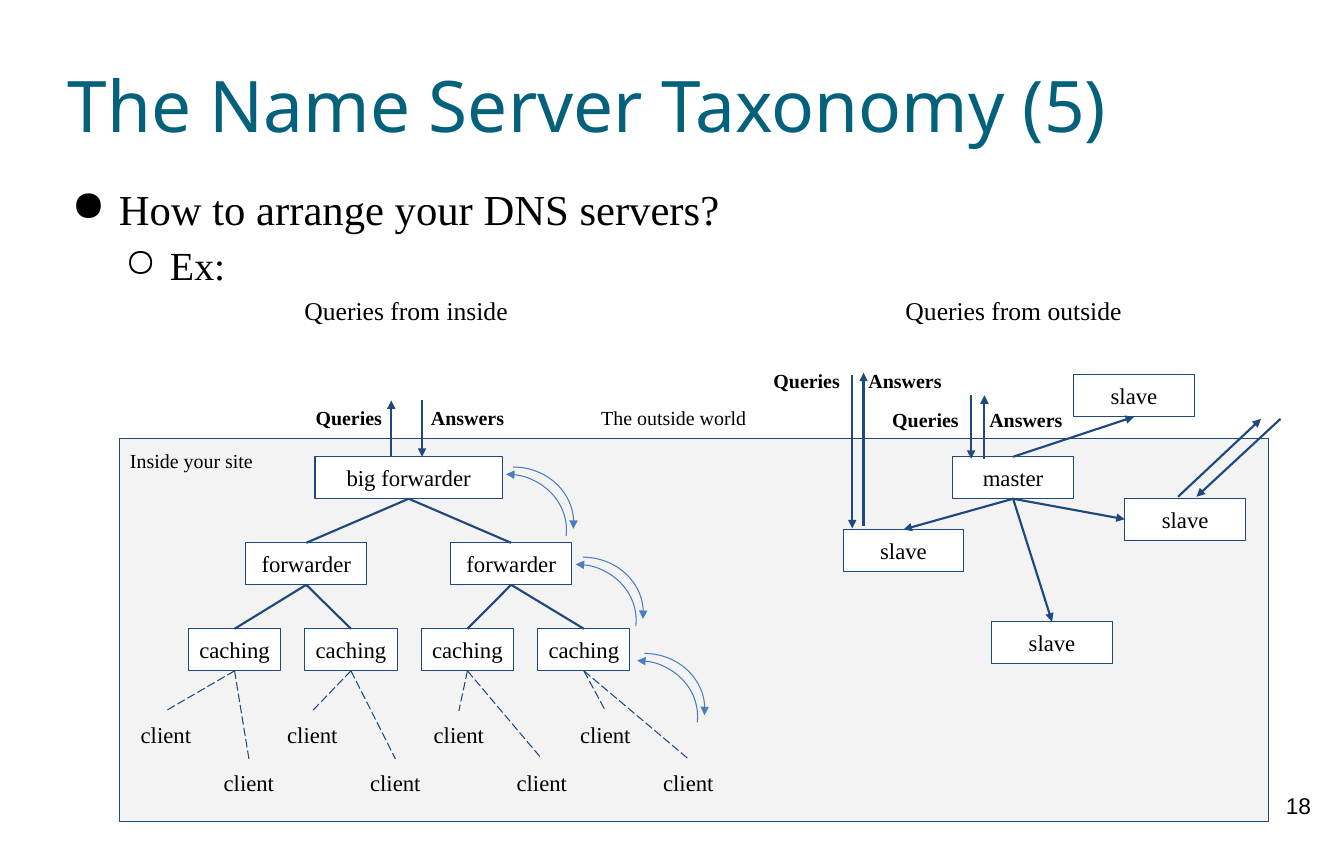
from lxml import etree
from pptx import Presentation
from pptx.dml.color import RGBColor
from pptx.enum.dml import MSO_LINE
from pptx.enum.shapes import MSO_CONNECTOR, MSO_SHAPE
from pptx.enum.text import MSO_ANCHOR, PP_ALIGN
from pptx.oxml.ns import qn
from pptx.util import Inches, Pt

STRAIGHT = MSO_CONNECTOR.STRAIGHT
RECTANGLE, ARC = MSO_SHAPE.RECTANGLE, MSO_SHAPE.ARC
LONG_DASH = MSO_LINE.LONG_DASH
TOP, MIDDLE = MSO_ANCHOR.TOP, MSO_ANCHOR.MIDDLE
LEFT, CENTER = PP_ALIGN.LEFT, PP_ALIGN.CENTER

BLACK = RGBColor(0x00, 0x00, 0x00)
WHITE = RGBColor(0xFF, 0xFF, 0xFF)
SITE_GRAY = RGBColor(0xF3, 0xF3, 0xF3)
NAVY = RGBColor(0x1F, 0x49, 0x7D)
ARC_BLUE = RGBColor(0x4B, 0x7E, 0xBC)
TITLE_TEAL = RGBColor(0x04, 0x61, 0x7B)

SERIF = "Times New Roman"
BOX_HEIGHT = 0.41
SERVER_WIDTH = 1.18
CACHING_WIDTH = 0.9
CACHING_STEP = (5.25 - 1.84) / 3
CLIENT_WIDTH = 0.9
CLIENT_STEP = 1.43


def format_para(para, size, color=BLACK, font=SERIF, bold=False):
    for span in para.runs:
        span.font.size = Pt(size)
        span.font.name = font
        span.font.bold = bold
        span.font.color.rgb = color


def fill_text(shape, text, size, align=CENTER, anchor=TOP, inset=0.1, **style):
    frame = shape.text_frame
    frame.word_wrap = True
    frame.vertical_anchor = anchor
    frame.margin_left = frame.margin_right = Inches(inset)
    frame.margin_top = frame.margin_bottom = Inches(inset)
    frame.text = text
    for para in frame.paragraphs:
        para.alignment = align
        format_para(para, size, **style)


def add_label(page, left, top, width, height, text, size, **style):
    box = page.shapes.add_textbox(Inches(left), Inches(top), Inches(width), Inches(height))
    fill_text(box, text, size, **style)
    return box


def add_box(page, left, top, width, height, text, size=16, fill=WHITE,
            align=CENTER, anchor=MIDDLE):
    box = page.shapes.add_shape(
        RECTANGLE, Inches(left), Inches(top), Inches(width), Inches(height))
    box.shadow.inherit = False
    box.fill.solid()
    box.fill.fore_color.rgb = fill
    box.line.color.rgb = NAVY
    box.line.width = Pt(0.75)
    fill_text(box, text, size, align=align, anchor=anchor)


def add_server(page, center, top, text, width=SERVER_WIDTH):
    """Draw a server box; return the middles of its top and bottom edges."""
    add_box(page, center - width / 2, top, width, BOX_HEIGHT, text)
    return (center, top), (center, top + BOX_HEIGHT)


def add_arrowhead(shape, end):
    """Put a triangle at end, which is headEnd (start) or tailEnd (finish)."""
    etree.SubElement(shape.get_or_add_ln(), qn(f"a:{end}"), type="triangle")


def add_line(page, start, finish, width=1.5, dash=None, arrow=False):
    connector = page.shapes.add_connector(
        STRAIGHT, *(Inches(value) for value in (*start, *finish)))
    line = connector.line
    line.color.rgb = NAVY
    line.width = Pt(width)
    if dash:
        line.dash_style = dash
    if arrow:
        add_arrowhead(connector, "tailEnd")
    etree.SubElement(connector._element.spPr, qn("a:effectLst"))


def add_arc(page, left, top, end):
    arc = page.shapes.add_shape(
        ARC, Inches(left), Inches(top), Inches(1.18), Inches(1.09))
    arc.shadow.inherit = False
    arc.adjustments[0] = 162
    arc.adjustments[1] = 3.43
    arc.fill.background()
    arc.line.color.rgb = ARC_BLUE
    arc.line.width = Pt(0.75)
    add_arrowhead(arc, end)


def add_bullets(page):
    text = "How to arrange your DNS servers?\nEx:"
    box = add_label(page, 0.66, 1.71, 11.84, 1.05, text, 30, align=LEFT, inset=0)
    levels = [("●", 0.5, -0.46, 30), ("○", 1, -0.44, 28)]
    for level, (para, (mark, margin, indent, size)) in enumerate(
            zip(box.text_frame.paragraphs, levels)):
        para.level = level
        para.line_spacing = 1.15
        format_para(para, size)
        properties = para._p.get_or_add_pPr()
        properties.set("marL", str(Inches(margin)))
        properties.set("indent", str(Inches(indent)))
        etree.SubElement(properties, qn("a:buChar"), char=mark)


def add_traffic_labels(page, queries_left, answers_left, top):
    for left, text in ((queries_left, "Queries"), (answers_left, "Answers")):
        add_label(page, left, top, 1.07, 0.44, text, 14, bold=True)


def add_clients(page, index, caching_bottom):
    for first_left, top in ((1.17, 6.94), (1.98, 7.41)):
        left = first_left + index * CLIENT_STEP
        add_label(page, left, top, CLIENT_WIDTH, 0.47, "client", 16)
        add_line(page, caching_bottom, (left + CLIENT_WIDTH / 2, top), 0.75, LONG_DASH)


def add_inside_tree(page):
    add_label(page, 2.73, 2.78, 2.47, 0.5, "Queries from inside", 18)
    root_bottom = add_server(page, 3.99, 4.46, "big forwarder", 1.83)[1]
    for side, center in enumerate((2.99, 4.99)):
        forwarder_top, forwarder_bottom = add_server(page, center, 5.3, "forwarder")
        add_line(page, root_bottom, forwarder_top)
        for index in (2 * side, 2 * side + 1):
            caching_center = 2.29 + index * CACHING_STEP
            caching_top, caching_bottom = add_server(
                page, caching_center, 6.14, "caching", CACHING_WIDTH)
            add_line(page, forwarder_bottom, caching_top)
            add_clients(page, index, caching_bottom)
    add_line(page, (3.82, 4.46), (3.82, 3.91), arrow=True)
    add_line(page, (4.12, 3.91), (4.12, 4.46), arrow=True)
    add_traffic_labels(page, 2.87, 4.03, 3.86)
    for left, top in ((4.42, 4.56), (5.1, 5.44), (5.7, 6.38)):
        add_arc(page, left, top, "tailEnd")
        add_arc(page, left - 0.07, top + 0.07, "headEnd")


def add_outside_servers(page):
    add_label(page, 8.66, 2.78, 2.47, 0.5, "Queries from outside", 18)
    master_top, master_bottom = add_server(page, 9.89, 4.46, "master")
    for center, top in ((8.82, 5.17), (10.27, 6.07)):
        slave_top = add_server(page, center, top, "slave")[0]
        add_line(page, master_bottom, slave_top, arrow=True)
    add_server(page, 11.57, 4.87, "slave")
    add_line(page, master_bottom, (10.98, 5.07), arrow=True)
    upper_bottom = add_server(page, 11.07, 3.66, "slave")[1]
    add_line(page, master_top, upper_bottom, arrow=True)
    traffic = [
        ((11.5, 4.85), (12.31, 4.09)), ((12.5, 4.09), (11.68, 4.85)),
        ((9.61, 4.48), (9.61, 3.86)), ((9.48, 3.86), (9.48, 4.48)),
        ((8.43, 5.14), (8.43, 3.64)), ((8.32, 3.66), (8.32, 5.16)),
    ]
    for start, finish in traffic:
        add_line(page, start, finish, arrow=True)
    add_traffic_labels(page, 8.5, 9.48, 3.88)
    add_traffic_labels(page, 7.34, 8.3, 3.5)


def main():
    deck = Presentation()
    deck.slide_width, deck.slide_height = Inches(13.12), Inches(8.27)
    page = deck.slides.add_slide(deck.slide_layouts[6])
    add_box(page, 1.17, 4.28, 11.21, 3.74, "Inside your site", 14,
            fill=SITE_GRAY, align=LEFT, anchor=TOP)
    add_label(page, 12.28, 7.63, 0.79, 0.63, "18", 16, font="Arial")
    add_label(page, 0.66, 0.33, 11.81, 1.38, "The Name Server Taxonomy (5)", 50,
              align=LEFT, anchor=MIDDLE, inset=0, color=TITLE_TEAL, font="Noto Sans")
    add_bullets(page)
    add_inside_tree(page)
    add_label(page, 5.77, 3.86, 1.78, 0.44, "The outside world", 14, align=LEFT)
    add_outside_servers(page)
    deck.save("out.pptx")


if __name__ == "__main__":
    main()
